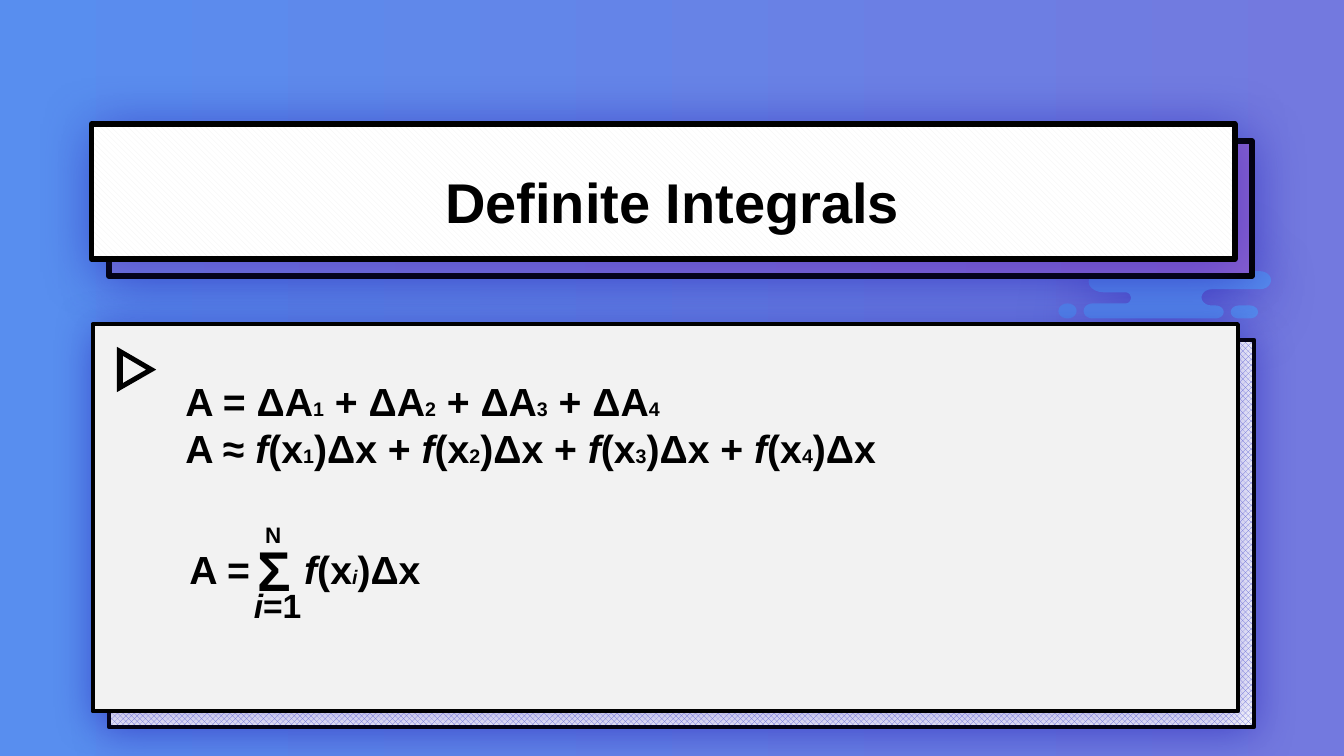
from math import cos, pi, sin

from lxml.etree import SubElement
from pptx import Presentation
from pptx.dml.color import RGBColor
from pptx.enum.dml import MSO_PATTERN
from pptx.enum.shapes import MSO_SHAPE
from pptx.enum.text import MSO_AUTO_SIZE, PP_ALIGN
from pptx.oxml.ns import qn
from pptx.util import Pt

SKY = RGBColor(0x58, 0x8E, 0xEF)
VIOLET = RGBColor(0x73, 0x79, 0xDF)
PURPLE = RGBColor(0x87, 0x60, 0xD1)
SHADOW = RGBColor(0x24, 0x1D, 0xB5)
PALE = RGBColor(0xF2, 0xF2, 0xF2)
WHITE = RGBColor(0xFF, 0xFF, 0xFF)
BLACK = RGBColor(0, 0, 0)

BODY, SUBSCRIPT = 28, 14
TERMS = range(1, 5)


def gradient(fill, start, end, angle):
    """Give a fill a two-stop linear gradient."""
    fill.gradient()
    fill.gradient_angle = angle
    for stop, color in zip(fill.gradient_stops, (start, end)):
        stop.color.rgb = color


def pattern(fill, kind, fore, back):
    """Give a fill a two-colour pattern."""
    fill.patterned()
    fill.pattern = kind
    fill.fore_color.rgb = fore
    fill.back_color.rgb = back


def solid(fill, color):
    """Give a fill one colour."""
    fill.solid()
    fill.fore_color.rgb = color


def rounded_outline(caps, steps=10):
    """Join half-ellipse caps (x, first y, last y, tip x) into one outline."""
    points = []
    for x, first, last, tip in caps:
        for step in range(steps + 1):
            turn = pi * step / steps
            points.append((x + (tip - x) * sin(turn),
                           (first + last) / 2 + (first - last) / 2 * cos(turn)))
    return points


def pill(left, right, top, bottom, cap):
    """Return the outline of a bar with rounded ends."""
    return rounded_outline([(left + cap, top, bottom, left),
                            (right - cap, bottom, top, right)])


class LessonSlide:
    """Holds the slide and the style shared by its elements."""

    font = "Arial"

    def __init__(self, slide):
        """Keep the slide and paint its background."""
        self.slide = slide
        gradient(slide.background.fill, SKY, VIOLET, 0)

    def shadow(self, shape, blur, distance):
        """Replace the theme shadow with a soft one falling downwards."""
        shape.shadow.inherit = False
        if not blur:
            return
        effects = shape._element.spPr.find(qn("a:effectLst"))
        outer = SubElement(effects, qn("a:outerShdw"), blurRad=str(Pt(blur)),
                           dist=str(Pt(distance)), dir="5400000",
                           algn="t", rotWithShape="0")
        color = SubElement(outer, qn("a:srgbClr"), val=str(SHADOW))
        SubElement(color, qn("a:alpha"), val="40000")

    def panel(self, kind, box, border):
        """Add a black-bordered panel and return its fill."""
        shape = self.slide.shapes.add_shape(kind, *map(Pt, box))
        if kind == MSO_SHAPE.ROUNDED_RECTANGLE:
            shape.adjustments[0] = 0
        shape.line.color.rgb = BLACK
        shape.line.width = Pt(border)
        self.shadow(shape, border * 10, border)
        return shape.fill

    def outline(self, contours, color, blur=0, distance=0):
        """Add a filled freeform made of closed contours."""
        contours = [[(Pt(x), Pt(y)) for x, y in points] for points in contours]
        builder = self.slide.shapes.build_freeform(*contours[0][0], scale=1.0)
        for number, points in enumerate(contours):
            if number:
                builder.move_to(*points[0])
            builder.add_line_segments(points[1:], close=True)
        shape = builder.convert_to_shape()
        solid(shape.fill, color)
        shape.line.fill.background()
        self.shadow(shape, blur, distance)

    def text(self, box, lines, align=PP_ALIGN.LEFT, tab=None, grow=False, group=None):
        """Add bold lines, each a list of (text, size, italic) runs."""
        shapes = (group or self.slide).shapes
        frame = shapes.add_textbox(*map(Pt, box)).text_frame
        frame.word_wrap = True
        if grow:
            frame.auto_size = MSO_AUTO_SIZE.SHAPE_TO_FIT_TEXT
        for number, runs in enumerate(lines):
            paragraph = frame.add_paragraph() if number else frame.paragraphs[0]
            paragraph.alignment = align
            if tab:
                tabs = SubElement(paragraph._p.get_or_add_pPr(), qn("a:tabLst"))
                SubElement(tabs, qn("a:tab"), pos=str(Pt(tab)), algn="l")
            for words, size, italic in runs:
                run = paragraph.add_run()
                run.text = words
                run.font.name = self.font
                run.font.size = Pt(size)
                run.font.bold = True
                run.font.italic = italic
                run.font.color.rgb = BLACK


presentation = Presentation()
presentation.slide_width, presentation.slide_height = Pt(960), Pt(540)
lesson = LessonSlide(presentation.slides.add_slide(presentation.slide_layouts[6]))

cloud = rounded_outline([
    (794.9, 171.4, 182.2, 788.4), (795.6, 182.2, 193.7, 802),
    (788.4, 193.7, 208.8, 777.6), (804.2, 208.8, 216.7, 807.8),
    (780.5, 216.7, 227.5, 774), (868.3, 227.5, 218.2, 874.1),
    (865.4, 218.2, 206.6, 858.2), (900, 206.6, 193.7, 907.9),
    (874.8, 193.7, 186.5, 871.2), (879.1, 186.5, 171.4, 887.8)])
puffs = [pill(756, 769, 216.7, 227.5, 6.5),
         pill(879.1, 898.6, 218.2, 227.5, 5.8),
         pill(763.2, 783.4, 171.4, 182.9, 6.8)]
lesson.outline([cloud, *puffs], SKY, 40, 4)

title_back = lesson.panel(MSO_SHAPE.RECTANGLE, (77.8, 100.8, 816.5, 96.5), 4)
gradient(title_back, PURPLE, VIOLET, 180)
title_front = lesson.panel(MSO_SHAPE.RECTANGLE, (65.5, 88.6, 816.5, 96.5), 4)
pattern(title_front, MSO_PATTERN.WIDE_DOWNWARD_DIAGONAL, PALE, WHITE)
lesson.text((260.6, 115.9, 439.2, 55.4), [[("Definite Integrals", 40, False)]],
            PP_ALIGN.CENTER)

body_back = lesson.panel(MSO_SHAPE.ROUNDED_RECTANGLE, (77.8, 242.8, 818, 276.5), 3)
pattern(body_back, MSO_PATTERN.LARGE_CHECKER_BOARD, VIOLET, WHITE)
body_front = lesson.panel(MSO_SHAPE.ROUNDED_RECTANGLE, (66.2, 231.6, 818, 276.5), 3)
solid(body_front, PALE)

lesson.outline([[(83.5, 247.7), (83.5, 280.1), (111.6, 264)],
                [(87.8, 254.2), (104.4, 264), (87.8, 273.6)]], BLACK)

summation = lesson.slide.shapes.add_group_shape()
lesson.text((128.2, 385.9, 221.8, 57.6),
            [[("A =\t", BODY, False), ("f", BODY, True), ("(x", BODY, False),
              ("i", SUBSCRIPT, True), (")Δx", BODY, False)]],
            tab=82, group=summation)
for box, runs in [
        ((182.2, 368.6, 35.3, 26.6), [("N", 16, False)]),
        ((174.2, 414, 64.1, 36), [("i", 24, True), ("=1", 24, False)]),
        ((177.1, 378.7, 52.6, 55.4), [("Σ", 40, False)])]:
    lesson.text(box, [runs], grow=True, group=summation)

exact_area, rectangle_area = [], [("A ≈ ", BODY, False)]
for term in TERMS:
    exact_area += [("A = ΔA" if term == TERMS[0] else " + ΔA", BODY, False),
                   (str(term), SUBSCRIPT, False)]
    rectangle_area += [("f", BODY, True), ("(x", BODY, False),
                       (str(term), SUBSCRIPT, False),
                       (")Δx" if term == TERMS[-1] else ")Δx + ", BODY, False)]
lesson.text((125.3, 265.7, 733, 142.6), [exact_area, rectangle_area], grow=True)

presentation.save("out.pptx")
